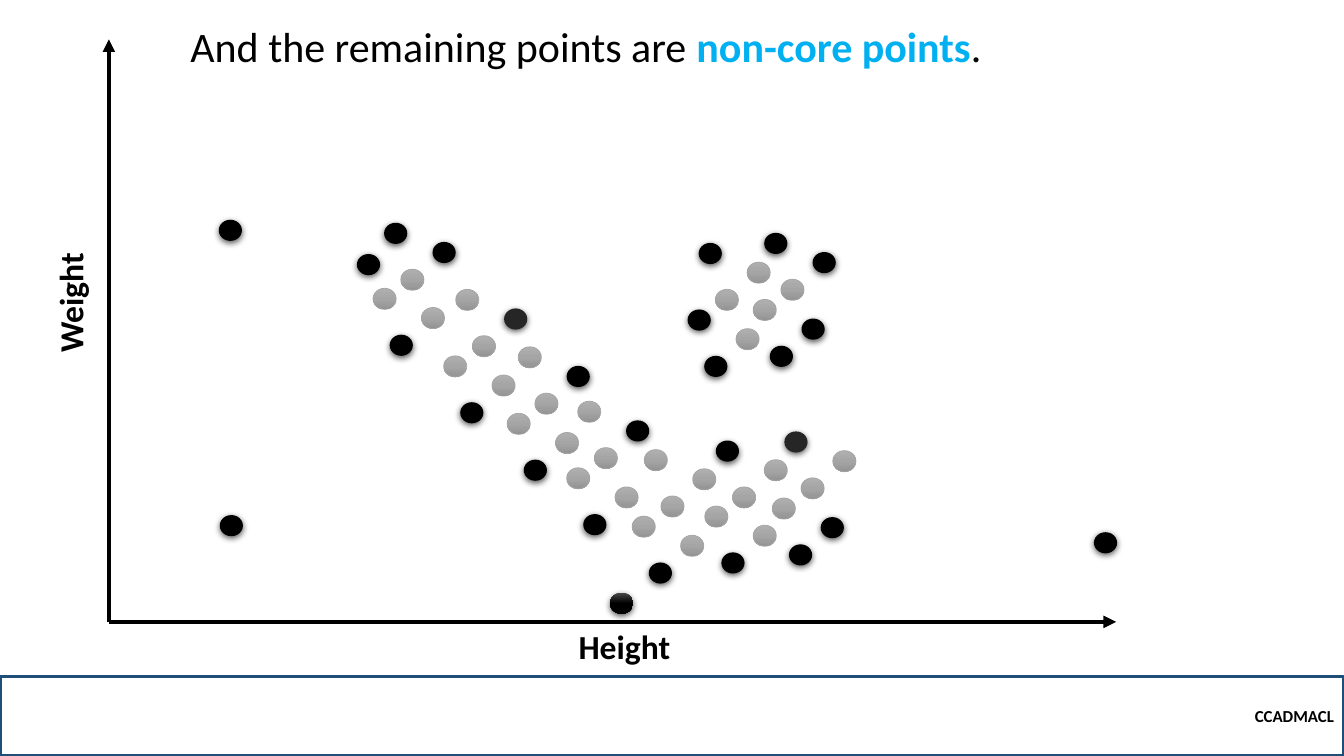
from collections import namedtuple

from lxml.etree import SubElement
from pptx import Presentation
from pptx.dml.color import RGBColor
from pptx.enum.shapes import MSO_CONNECTOR, MSO_SHAPE
from pptx.enum.text import MSO_ANCHOR, PP_ALIGN
from pptx.oxml import parse_xml
from pptx.oxml.ns import nsdecls, qn
from pptx.util import Inches, Pt

BLACK = RGBColor(0x00, 0x00, 0x00)
CHARCOAL = RGBColor(0x26, 0x26, 0x26)
GREY = RGBColor(0xA5, 0xA5, 0xA5)
LIGHT_GREY = RGBColor(0xAF, 0xAF, 0xAF)
DARK_GREY = RGBColor(0x93, 0x93, 0x93)
SMOKE = RGBColor(0x4B, 0x4B, 0x4B)
NAVY = RGBColor(0x1F, 0x4E, 0x79)
SKY = RGBColor(0x00, 0xB0, 0xF0)
FONT = "Calibri"

Box = namedtuple("Box", "left top width height")
Look = namedtuple("Look", "colors outline shadow")

POINT_WIDTH, POINT_HEIGHT = 0.23, 0.21
LOOKS = {
    "core": Look((LIGHT_GREY, GREY, DARK_GREY), GREY, False),
    "rim": Look((BLACK,), None, True),
    "dark": Look((CHARCOAL,), None, True),
    "glossy": Look((SMOKE, BLACK, BLACK), None, True),
}
TRIO_OFFSETS = ((0, 0), (0.165, 0.46), (0.48, 0.19))
TRIOS = (
    (2.73, 1.82, "rim core rim"),
    (2.62, 2.47, "core rim core"),
    (3.44, 2.48, "core core dark"),
    (3.32, 3.14, "core rim core"),
    (4.06, 3.05, "core core rim"),
    (3.95, 3.71, "core rim core"),
    (4.65, 3.59, "core core rim"),
    (4.54, 4.25, "core rim core"),
    (5.31, 4.07, "core core core"),
    (5.19, 4.73, "core rim core"),
    (6.02, 3.98, "rim core core"),
    (5.91, 4.63, "core rim core"),
    (6.70, 3.89, "dark core core"),
    (6.58, 4.55, "core rim rim"),
    (5.85, 2.02, "rim core core"),
    (5.74, 2.68, "rim rim core"),
    (6.50, 1.92, "rim core rim"),
    (6.39, 2.58, "core rim rim"),
)
SINGLES = (
    (1.09, 1.79, "rim"),
    (1.10, 4.72, "rim"),
    (9.77, 4.89, "rim"),
    (2.46, 2.13, "rim"),
    (4.97, 5.49, "glossy"),
)


def style_run(run, size, color=BLACK, bold=False):
    """Format one run of text."""
    run.font.name = FONT
    run.font.size = Pt(size)
    run.font.bold = bold
    run.font.color.rgb = color


def add_shadow(shape):
    """Drop a soft black shadow below a shape."""
    shape.element.spPr.append(parse_xml(
        f'<a:effectLst {nsdecls("a")}>'
        '<a:outerShdw blurRad="57150" dist="19050" dir="5400000" algn="ctr" rotWithShape="0">'
        '<a:srgbClr val="000000"><a:alpha val="63000"/></a:srgbClr>'
        '</a:outerShdw></a:effectLst>'))


def fill_gradient(shape, colors):
    """Fill a shape from top to bottom with evenly spaced colours."""
    step = 100000 // (len(colors) - 1)
    stops = "".join(
        f'<a:gs pos="{i * step}"><a:srgbClr val="{color}"/></a:gs>'
        for i, color in enumerate(colors))
    shape.element.spPr.find(qn("a:prstGeom")).addnext(parse_xml(
        f'<a:gradFill {nsdecls("a")} rotWithShape="1"><a:gsLst>{stops}</a:gsLst>'
        '<a:lin ang="5400000" scaled="0"/></a:gradFill>'))


def add_point(slide, left, top, look):
    """Draw one observation of the scatter."""
    point = slide.shapes.add_shape(
        MSO_SHAPE.OVAL, Inches(left), Inches(top), Inches(POINT_WIDTH), Inches(POINT_HEIGHT))
    if len(look.colors) > 1:
        fill_gradient(point, look.colors)
    else:
        point.fill.solid()
        point.fill.fore_color.rgb = look.colors[0]
    if look.outline:
        point.line.color.rgb = look.outline
        point.line.width = Pt(0.5)
    else:
        point.line.fill.background()
    if look.shadow:
        add_shadow(point)
    else:
        point.shadow.inherit = False


def add_axis(slide, start, end):
    """Draw an axis with an arrowhead at its end."""
    axis = slide.shapes.add_connector(
        MSO_CONNECTOR.STRAIGHT, *(Inches(value) for value in (*start, *end)))
    axis.line.color.rgb = BLACK
    axis.line.width = Pt(3)
    properties = axis.element.spPr
    SubElement(properties.find(qn("a:ln")), qn("a:tailEnd"), type="triangle")
    SubElement(properties, qn("a:effectLst"))


def add_text(slide, box):
    """Add a wrapping text box and return it with its first paragraph."""
    holder = slide.shapes.add_textbox(*(Inches(value) for value in box))
    holder.text_frame.word_wrap = True
    return holder, holder.text_frame.paragraphs[0]


def add_axis_label(slide, box, wording, rotation=0):
    """Name an axis in bold."""
    holder, paragraph = add_text(slide, box)
    holder.rotation = rotation
    paragraph.text = wording
    style_run(paragraph.runs[0], 24, bold=True)


def add_scatter(slide, box):
    """Draw the axes, their names and all points in the plot box."""
    origin = (box.left, box.top + box.height)
    add_axis(slide, origin, (box.left + box.width, origin[1]))
    add_axis(slide, origin, (box.left, box.top))
    for x, y, kinds in TRIOS:
        for (dx, dy), kind in zip(TRIO_OFFSETS, kinds.split()):
            add_point(slide, box.left + x + dx, box.top + y + dy, LOOKS[kind])
    for x, y, kind in SINGLES:
        add_point(slide, box.left + x, box.top + y, LOOKS[kind])
    add_axis_label(slide, Box(box.left + 4.56, origin[1] - 0.01, 1.17, 0.5), "Height")
    add_axis_label(slide, Box(box.left - 0.98, box.top + 2.36, 1.19, 0.5), "Weight", 270)


def add_headline(slide, box):
    """Write the statement with its key term highlighted."""
    paragraph = add_text(slide, box)[1]
    for wording, color, bold in (
            ("And the remaining points are ", BLACK, False),
            ("non-core points", SKY, True),
            (".", BLACK, False)):
        run = paragraph.add_run()
        run.text = wording
        style_run(run, 30, color, bold)


def add_footer(slide, box):
    """Draw the outlined footer band with the course code."""
    band = slide.shapes.add_shape(MSO_SHAPE.RECTANGLE, *(Inches(value) for value in box))
    band.shadow.inherit = False
    band.fill.background()
    band.line.color.rgb = NAVY
    band.line.width = Pt(2.25)
    band.text_frame.vertical_anchor = MSO_ANCHOR.MIDDLE
    course = band.text_frame.paragraphs[0]
    course.text = "CCADMACL"
    course.alignment = PP_ALIGN.RIGHT
    style_run(course.runs[0], 12, bold=True)


def main():
    """Build and save the slide."""
    deck = Presentation()
    deck.slide_width, deck.slide_height = Inches(13.33), Inches(7.5)
    slide = deck.slides.add_slide(deck.slide_layouts[6])
    add_footer(slide, Box(0, 6.71, 13.33, 0.79))
    add_scatter(slide, Box(1.08, 0.39, 9.99, 5.78))
    add_headline(slide, Box(1.79, 0.15, 9.28, 0.61))
    deck.save("out.pptx")


if __name__ == "__main__":
    main()
